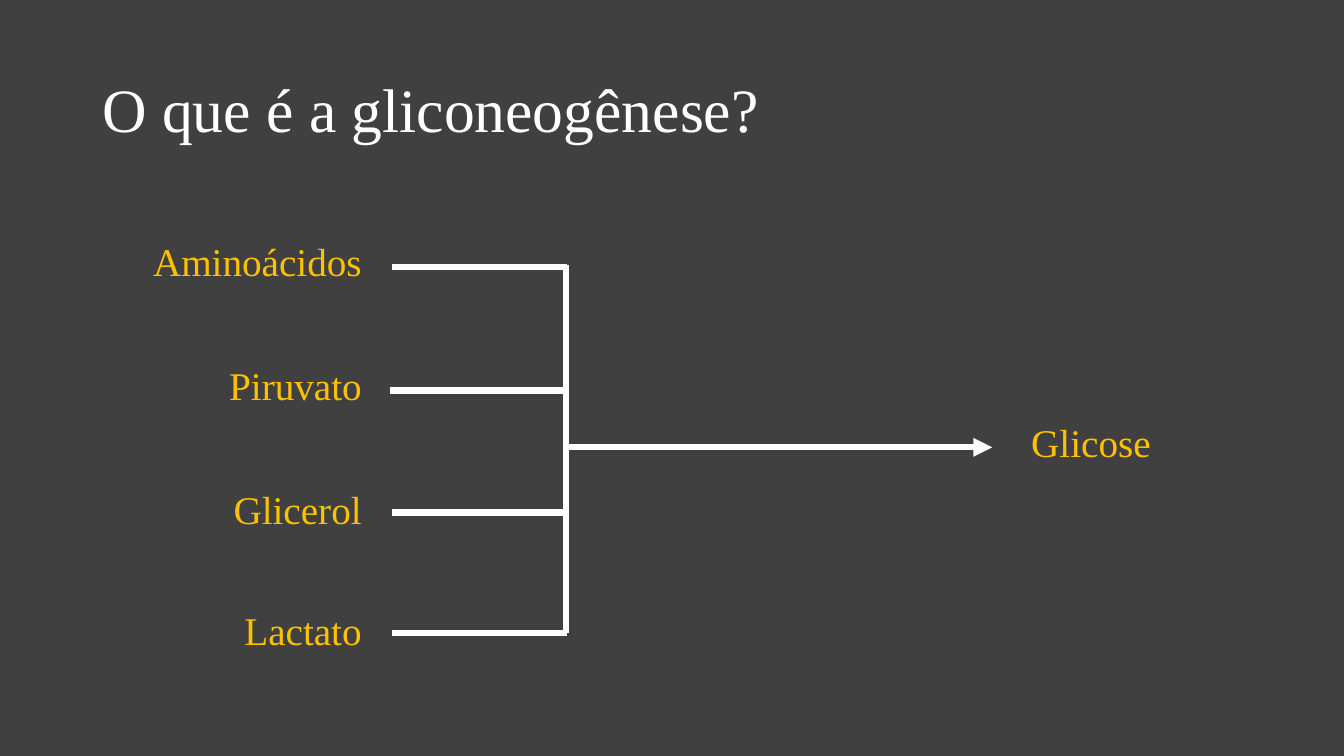
"""Builds the slide that shows the four sources of gluconeogenesis leading to glucose."""
from dataclasses import dataclass

from lxml import etree
from pptx import Presentation
from pptx.dml.color import RGBColor
from pptx.enum.shapes import MSO_CONNECTOR
from pptx.enum.text import MSO_ANCHOR, PP_ALIGN
from pptx.oxml.ns import qn
from pptx.slide import Slide
from pptx.util import Emu, Pt

STRAIGHT = MSO_CONNECTOR.STRAIGHT
MIDDLE, TOP = MSO_ANCHOR.MIDDLE, MSO_ANCHOR.TOP
LEFT, CENTER, RIGHT = PP_ALIGN.LEFT, PP_ALIGN.CENTER, PP_ALIGN.RIGHT

EMU_PER_PX = 9525
FONT = "Times New Roman"
BACKGROUND, WHITE, GOLD = "404040", "FFFFFF", "FFC000"
MARGIN, LABEL_WIDTH, LABEL_HEIGHT = 88, 266, 55
BRANCH_LENGTH = 167
TRUNK_X = 539


@dataclass(frozen=True)
class Label:
    text: str
    left: int
    top: int
    width: int
    height: int = LABEL_HEIGHT
    size: int = 28
    color: str = GOLD
    align: PP_ALIGN = RIGHT
    anchor: MSO_ANCHOR = TOP
    spacing: float = 1.0


@dataclass(frozen=True)
class Line:
    x1: int
    y1: int
    x2: int
    y2: int
    arrow: bool = False


@dataclass(frozen=True)
class Precursor:
    name: str
    label_top: int
    branch_left: int
    branch_y: int


PRECURSORS = [
    Precursor("Aminoácidos", 221, 373, 254),
    Precursor("Piruvato", 339, 371, 372),
    Precursor("Glicerol", 457, 373, 488),
    Precursor("Lactato", 573, 373, 603),
]
TITLE = Label("O que é a gliconeogênese?", MARGIN, 38, 753, 139, 44, WHITE, LEFT, MIDDLE, 0.9)
PRODUCT = Label("Glicose", 955, 394, 168, align=CENTER)
TRUNK = Line(TRUNK_X, 252, TRUNK_X, 603)
ARROW = Line(537, 426, 945, 426, arrow=True)


def px(value: int) -> Emu:
    """Turns pixels into EMU."""
    return Emu(value * EMU_PER_PX)


def rgb(value: str) -> RGBColor:
    """Turns a hex string into a colour."""
    return RGBColor.from_string(value)


def add_label(s: Slide, label: Label) -> None:
    """Adds a text box with one formatted paragraph."""
    sp = s.shapes.add_textbox(px(label.left), px(label.top), px(label.width), px(label.height))
    tf = sp.text_frame
    tf.word_wrap = True
    tf.vertical_anchor = label.anchor
    tf.text = label.text
    p = tf.paragraphs[0]
    p.alignment = label.align
    p.line_spacing = label.spacing
    r = p.runs[0]
    r.font.name = FONT
    r.font.size = Pt(label.size)
    r.font.color.rgb = rgb(label.color)


def add_line(s: Slide, line: Line) -> None:
    """Adds a thick white line, with an arrowhead where asked for."""
    cxn = s.shapes.add_connector(STRAIGHT, px(line.x1), px(line.y1), px(line.x2), px(line.y2))
    cxn.line.color.rgb = rgb(WHITE)
    cxn.line.width = Pt(4.5)
    sp_pr = cxn.line._get_or_add_ln().getparent()
    if line.arrow:
        etree.SubElement(sp_pr.find(qn("a:ln")), qn("a:tailEnd"), type="triangle")
    etree.SubElement(sp_pr, qn("a:effectLst"))


def main() -> None:
    """Draws the slide and saves it."""
    prs = Presentation()
    prs.slide_width, prs.slide_height = px(1280), px(720)
    s = prs.slides.add_slide(prs.slide_layouts[6])
    s.background.fill.solid()
    s.background.fill.fore_color.rgb = rgb(BACKGROUND)
    add_label(s, TITLE)
    for item in PRECURSORS:
        add_label(s, Label(item.name, MARGIN, item.label_top, LABEL_WIDTH))
        branch_right = item.branch_left + BRANCH_LENGTH
        add_line(s, Line(item.branch_left, item.branch_y, branch_right, item.branch_y))
    add_line(s, TRUNK)
    add_line(s, ARROW)
    add_label(s, PRODUCT)
    prs.save("out.pptx")


if __name__ == "__main__":
    main()
